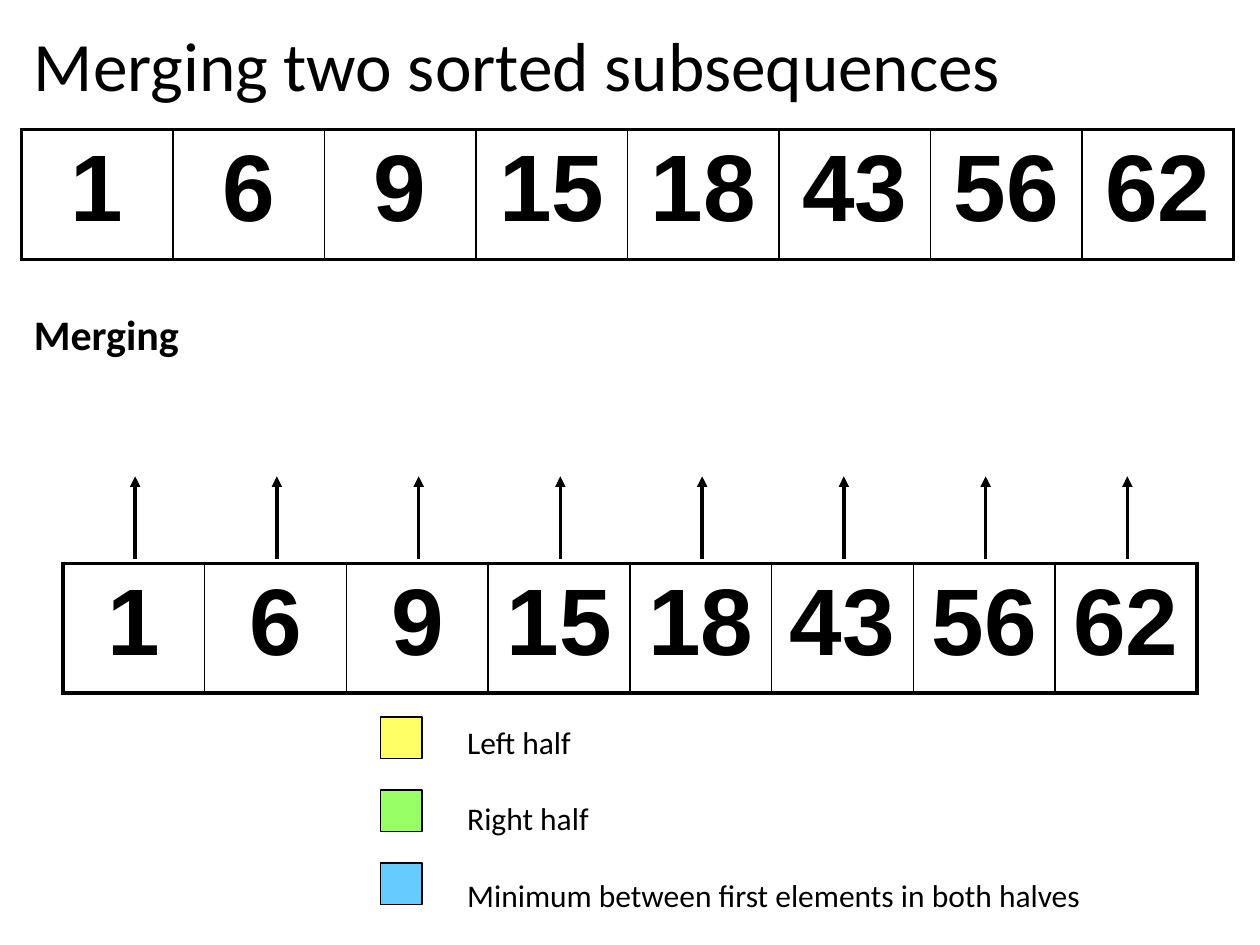
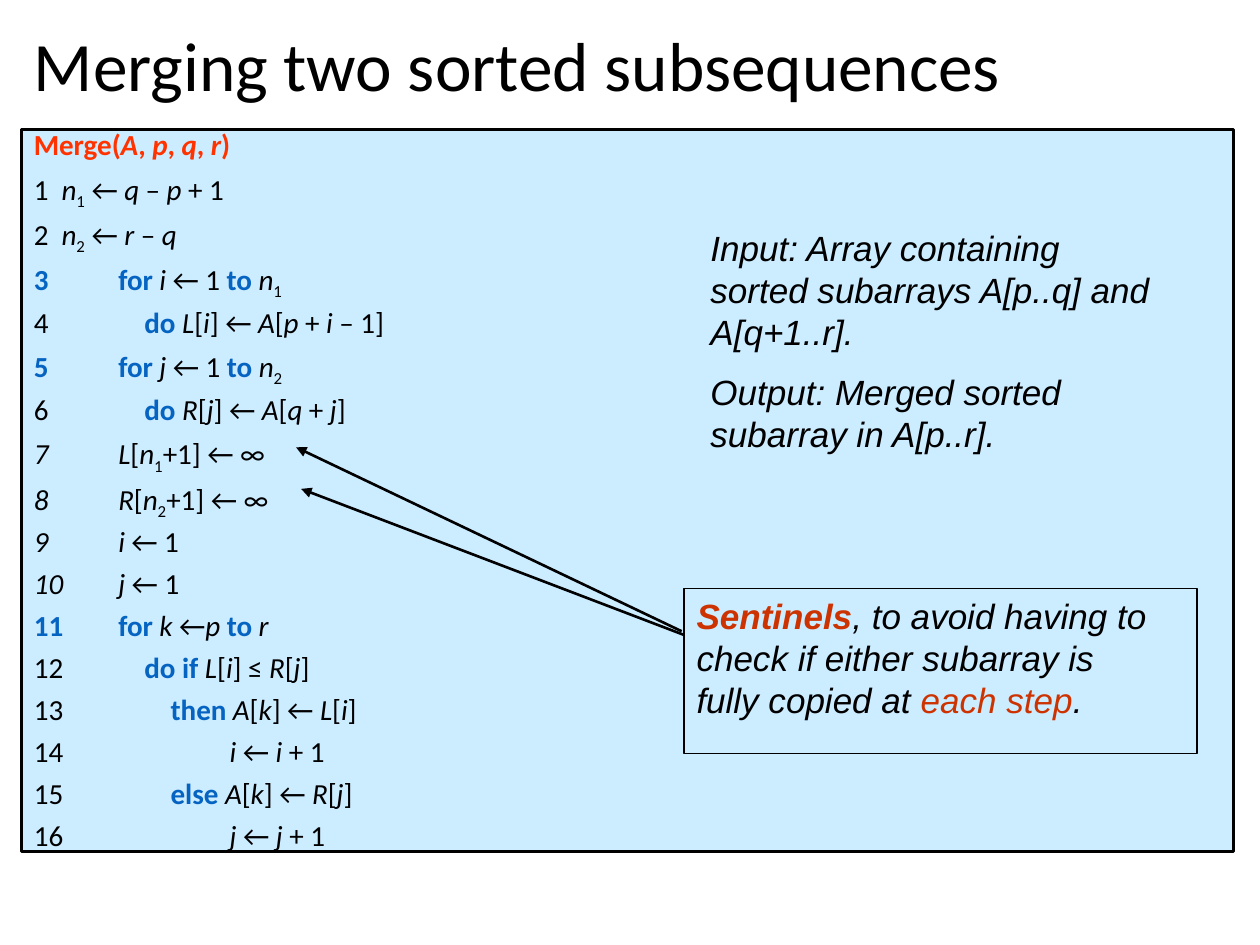
import itertools

import pptx
import pptx.dml.color
import pptx.enum.shapes
import pptx.enum.text
import pptx.oxml
import pptx.oxml.ns
import pptx.util
from pptx.util import Inches, Pt

# Content
TITLE = "Merging two sorted subsequences"
SORTED_VALUES = [1, 6, 9, 15, 18, 43, 56, 62]
LEGEND = [
    ("Left half", "FFFF66"),
    ("Right half", "99FF66"),
    ("Minimum between first elements in both halves", "66CCFF"),
]
PROCEDURE = "Merge(A, p, q, r)"
SETUP_LINES = ["1\tn₁ ← q – p + 1", "2\tn₂ ← r – q"]
# Numbered lines: indentation in characters, then the code
FIRST_NUMBER = 3
NUMBERED_LINES = [
    (0, "for i ← 1 to n₁"),
    (4, "do L[i] ← A[p + i – 1]"),
    (0, "for j ← 1 to n₂"),
    (4, "do R[j] ← A[q + j]"),
    (0, "L[n₁+1] ← ∞"),
    (0, "R[n₂+1] ← ∞"),
    (0, "i ← 1"),
    (0, "j ← 1"),
    (0, "for k ←p to r"),
    (4, "do if L[i] ≤ R[j]"),
    (8, "then A[k] ← L[i]"),
    (17, "i ← i + 1"),
    (8, "else A[k] ← R[j]"),
    (17, "j ← j + 1"),
]
KEYWORDS = {"for", "to", "do", "if", "then", "else"}
SUBSCRIPTS = {"₁": "1", "₂": "2"}
SENTINEL_LINES = [
    [("Sentinels", "CC3300", True), (", to avoid having to", "000000", False)],
    [("check if either subarray is", "000000", False)],
    [("fully copied at ", "000000", False), ("each step", "CC3300", False),
     (".", "000000", False)],
]
SENTINEL_ARROWS = [((5.41, 5.01), (2.35, 3.55)), ((5.43, 5.04), (2.39, 3.88))]
INPUT_OUTPUT = [
    "Input: Array containing sorted subarrays A[p..q] and A[q+1..r].",
    "Output: Merged sorted subarray in A[p..r].",
]

# Shared look
BLACK, BLUE, RED, PANEL = "000000", "0563C1", "FF3300", "CCECFF"
LEFT, WIDTH, CONTENT_TOP = 0.17, 9.62, 1.03
ROW_HEIGHT = 1.03
CODE_SIZE, CODE_INDENT, SPACE_WIDTH = 16.6, 0.67, 0.052


def color(value):
    return pptx.dml.color.RGBColor.from_string(value)


def style(run, size, name="Calibri", fill=BLACK, bold=False, italic=False):
    font = run.font
    font.size, font.name, font.bold, font.italic = Pt(size), name, bold, italic
    font.color.rgb = color(fill)


def add_run(paragraph, text, *args, **options):
    run = paragraph.add_run()
    run.text = text
    style(run, *args, **options)
    return run


def write_lines(text_frame, lines, size, space=0, **options):
    text_frame.word_wrap = True
    text_frame.text = "\n".join(lines)
    for index, paragraph in enumerate(text_frame.paragraphs):
        paragraph.space_before = Pt(space if index else 0)
        style(paragraph.runs[0], size, **options)


def add_text(slide, box, lines, size, **options):
    shape = slide.shapes.add_textbox(*map(Inches, box))
    write_lines(shape.text_frame, lines, size, **options)
    return shape


def add_box(slide, box, fill, line_width):
    shape = slide.shapes.add_shape(
        pptx.enum.shapes.MSO_SHAPE.RECTANGLE, *map(Inches, box))
    shape.shadow.inherit = False
    if fill:
        shape.fill.solid()
        shape.fill.fore_color.rgb = color(fill)
    else:
        shape.fill.background()
    shape.line.color.rgb = color(BLACK)
    shape.line.width = Pt(line_width)
    text_frame = shape.text_frame
    text_frame.word_wrap = True
    text_frame.vertical_anchor = pptx.enum.text.MSO_ANCHOR.TOP
    return shape


def add_child(parent, tag, **attributes):
    child = pptx.oxml.parse_xml(f"<a:{tag} {pptx.oxml.ns.nsdecls('a')}/>")
    for name, value in attributes.items():
        child.set(name, str(value))
    parent.append(child)
    return child


def add_arrow(slide, start, end, width):
    arrow = slide.shapes.add_connector(
        pptx.enum.shapes.MSO_CONNECTOR.STRAIGHT, *map(Inches, start + end))
    arrow.line.color.rgb = color(BLACK)
    arrow.line.width = Pt(width)
    add_child(arrow.line._get_or_add_ln(), "tailEnd", type="triangle")
    add_child(arrow._element.spPr, "effectLst")


def add_slide(presentation):
    slide = presentation.slides.add_slide(presentation.slide_layouts[6])
    title = add_text(slide, (LEFT, 0.18, WIDTH, 0.74), [TITLE], 39.6)
    title.text_frame.vertical_anchor = pptx.enum.text.MSO_ANCHOR.MIDDLE
    title.text_frame.paragraphs[0].line_spacing = 0.9
    return slide


def add_array(slide, left, top, width):
    count = len(SORTED_VALUES)
    table = slide.shapes.add_table(
        1, count, *map(Inches, (left, top, width, ROW_HEIGHT))).table
    table.first_row = table.horz_banding = False
    for index, value in enumerate(SORTED_VALUES):
        table.columns[index].width = Inches(width / count)
        cell = table.cell(0, index)
        cell.text_frame.text = str(value)
        paragraph = cell.text_frame.paragraphs[0]
        paragraph.alignment = pptx.enum.text.PP_ALIGN.CENTER
        style(paragraph.runs[0], 54, "Arial", bold=True)
        # Thick outer border, thin lines between the cells
        properties = cell._tc.get_or_add_tcPr()
        thick = {"L": index == 0, "R": index == count - 1, "T": True, "B": True}
        for side, is_thick in thick.items():
            border = add_child(properties, "ln" + side,
                               w=Pt(2.25 if is_thick else 1))
            add_child(add_child(border, "solidFill"), "srgbClr", val=BLACK)
        cell.fill.background()


def write_code(paragraph, code, fill=BLACK, bold=False):
    """Letters are italic variables; keywords are bold and blue."""
    paragraph.line_spacing = 0.7
    paragraph.space_before = Pt(10)

    def kind(character):
        return character.isalpha(), character in SUBSCRIPTS

    for (is_word, is_subscript), group in itertools.groupby(code, kind):
        token = "".join(group)
        if token in KEYWORDS:
            add_run(paragraph, token, CODE_SIZE, fill=BLUE, bold=True)
        elif is_subscript:
            run = add_run(paragraph, SUBSCRIPTS[token], CODE_SIZE, fill=fill)
            run.font._element.set("baseline", "-25000")
        else:
            add_run(paragraph, token, CODE_SIZE, fill=fill, bold=bold,
                    italic=is_word and token != "Merge")


def hang(paragraph, indent):
    properties = paragraph._p.get_or_add_pPr()
    properties.set("marL", str(Inches(indent)))
    properties.set("indent", str(-Inches(indent)))
    return properties


def build_merged_slide(presentation):
    slide = add_slide(presentation)
    add_array(slide, LEFT, CONTENT_TOP, WIDTH)
    add_text(slide, (LEFT, 2.4, 1.75, 0.5), ["Merging"], 24, bold=True)

    # Lower array with an arrow above each cell
    array_left, array_width = 0.5, 9
    add_array(slide, array_left, 4.47, array_width)
    step = array_width / len(SORTED_VALUES)
    for index in range(len(SORTED_VALUES)):
        center = array_left + step * (index + 0.5) + 0.01
        add_arrow(slide, (center, 4.44), (center, 3.78), 2)

    # Legend
    for index, (_, fill) in enumerate(LEGEND):
        add_box(slide, (3.02, 5.69 + 0.58 * index, 0.33, 0.33), fill, 0.75)
    add_text(slide, (3.61, 5.69, 5.93, 1.62), [label for label, _ in LEGEND],
             18, space=22)


def build_code_slide(presentation):
    slide = add_slide(presentation)

    # Pseudocode
    panel = add_box(slide, (LEFT, CONTENT_TOP, WIDTH, 5.73), PANEL, 1.5)
    text_frame = panel.text_frame
    write_code(text_frame.paragraphs[0], PROCEDURE, RED, bold=True)
    for code in SETUP_LINES:
        paragraph = text_frame.add_paragraph()
        write_code(paragraph, code)
        hang(paragraph, 0.22)
    for spaces, code in NUMBERED_LINES:
        paragraph = text_frame.add_paragraph()
        # A plain leading space keeps the number of an indented line plain
        write_code(paragraph, " " + code if spaces else code)
        properties = hang(
            paragraph, CODE_INDENT + SPACE_WIDTH * max(spaces - 1, 0))
        add_child(properties, "buFont", typeface="+mj-lt")
        add_child(properties, "buAutoNum", type="arabicPlain",
                  startAt=FIRST_NUMBER)
    for paragraph in text_frame.paragraphs:
        paragraph.alignment = pptx.enum.text.PP_ALIGN.LEFT

    # Sentinel note and its arrows
    note = add_box(slide, (5.43, 4.67, 4.07, 1.31), None, 1)
    for index, parts in enumerate(SENTINEL_LINES):
        frame = note.text_frame
        paragraph = frame.add_paragraph() if index else frame.paragraphs[0]
        paragraph.alignment = pptx.enum.text.PP_ALIGN.LEFT
        for text, fill, bold in parts:
            add_run(paragraph, text, 20, "Arial", fill, bold, italic=True)
    for start, end in SENTINEL_ARROWS:
        add_arrow(slide, start, end, 1.5)

    add_text(slide, (5.54, 1.75, 3.71, 2.3), INPUT_OUTPUT, 20, space=10,
             name="Arial", italic=True)


def main():
    presentation = pptx.Presentation()
    presentation.slide_width = Inches(10)
    presentation.slide_height = Inches(7.5)
    build_merged_slide(presentation)
    build_code_slide(presentation)
    presentation.save("out.pptx")


if __name__ == "__main__":
    main()
